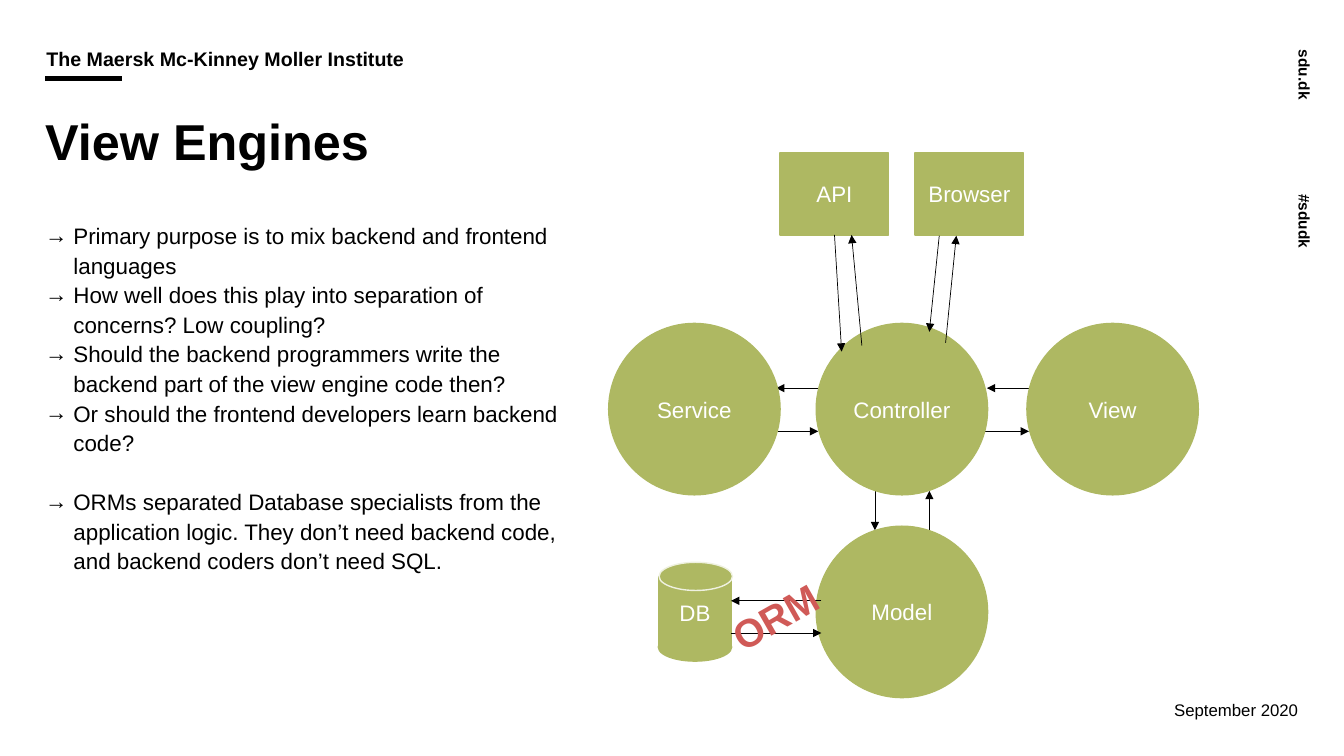
from lxml import etree
from pptx import Presentation
from pptx.dml.color import RGBColor
from pptx.enum import shapes, text
from pptx.oxml import ns
from pptx.util import Cm, Pt

BLACK = RGBColor(0x00, 0x00, 0x00)
WHITE = RGBColor(0xFF, 0xFF, 0xFF)
OLIVE = RGBColor(0xAE, 0xB8, 0x62)
PALE = RGBColor(0xEF, 0xF1, 0xE0)
RED = RGBColor(0xD0, 0x5A, 0x57)

QUESTIONS = [
    "Primary purpose is to mix backend and frontend languages",
    "How well does this play into separation of concerns? Low coupling?",
    "Should the backend programmers write the backend part of the view engine code then?",
    "Or should the frontend developers learn backend code?",
    "ORMs separated Database specialists from the application logic. "
    "They don’t need backend code, and backend coders don’t need SQL.",
]


def write(para, words, size=16, color=BLACK, bold=False, align=text.PP_ALIGN.LEFT,
          spacing=1.0, before=0, bullet=None, indent=0.71):
    """Fill a paragraph with one formatted span."""
    if bullet:
        properties = para._p.get_or_add_pPr()
        properties.set("marL", str(Cm(indent)))
        properties.set("indent", str(-Cm(indent)))
        etree.SubElement(properties, ns.qn("a:buChar"), char=bullet)
    para.alignment = align
    para.line_spacing = spacing
    para.space_before = Pt(before)
    span = para.add_run()
    span.text = words
    span.font.name = "Arial"
    span.font.size = Pt(size)
    span.font.bold = bold
    span.font.color.rgb = color


def set_frame(box, anchor=text.MSO_ANCHOR.TOP, insets=(0, 0, 0, 0)):
    """Set wrapping, anchor and insets of a box and return its text frame."""
    frame = box.text_frame
    frame.word_wrap = True
    frame.auto_size = text.MSO_AUTO_SIZE.NONE
    frame.vertical_anchor = anchor
    frame.margin_left, frame.margin_top, frame.margin_right, frame.margin_bottom = map(Cm, insets)
    return frame


def add_label(page, left, top, width, height, words, rotation=0,
              anchor=text.MSO_ANCHOR.TOP, insets=(0, 0, 0, 0), **style):
    """Add a text box holding one paragraph."""
    box = page.shapes.add_textbox(Cm(left), Cm(top), Cm(width), Cm(height))
    box.rotation = rotation
    write(set_frame(box, anchor, insets).paragraphs[0], words, **style)


def add_node(parent, kind, left, top, width, height, words=None, outline=OLIVE):
    """Add a filled shape with an optional centred caption."""
    node = parent.shapes.add_shape(kind, Cm(left), Cm(top), Cm(width), Cm(height))
    node.shadow.inherit = False
    node.fill.solid()
    node.fill.fore_color.rgb = OLIVE
    node.line.color.rgb = outline
    node.line.width = Pt(1)
    if words:
        frame = set_frame(node, text.MSO_ANCHOR.MIDDLE, (0.2, 0.2, 0.2, 0.2))
        write(frame.paragraphs[0], words, color=WHITE, align=text.PP_ALIGN.CENTER)
    return node


def add_line(page, start, end, width=0.5, arrow=True):
    """Add a black straight line, by default with an arrowhead at its end."""
    line = page.shapes.add_connector(shapes.MSO_CONNECTOR.STRAIGHT, *map(Cm, start + end))
    line.line.color.rgb = BLACK
    line.line.width = Pt(width)
    properties = line.element.spPr
    if arrow:
        etree.SubElement(properties.find(ns.qn("a:ln")), ns.qn("a:tailEnd"), type="triangle")
    etree.SubElement(properties, ns.qn("a:effectLst"))
    return line


def add_margin(page, left, top):
    """Place the upright labels of the right margin."""
    for row, words in enumerate(("sdu.dk", "#sdudk")):
        add_label(page, left, top + row * 3.63, 2.54, 1.04, words, rotation=90,
                  anchor=text.MSO_ANCHOR.BOTTOM, size=11, bold=True)


def add_header(page, left, top):
    """Place the institute name and the rule below it."""
    add_line(page, (left, top + 0.74), (left + 1.93, top + 0.74), width=3, arrow=False)
    add_label(page, left, top, 15.8, 0.79, "The Maersk Mc-Kinney Moller Institute",
              anchor=text.MSO_ANCHOR.BOTTOM, insets=(0.03, 0, 0, 0.25),
              size=14, bold=True, spacing=0.9)


def place(holder, left, top, width, height):
    """Move a placeholder and return its text frame."""
    holder.left, holder.top, holder.width, holder.height = map(Cm, (left, top, width, height))
    return set_frame(holder)


def fill_content(page, left, top):
    """Fill the title and the list of questions."""
    title = place(page.shapes.title, left, top, 30.43, 1.96)
    write(title.paragraphs[0], "View Engines", size=36, bold=True)
    body = place(page.placeholders[1], left, top + 2.77, 13.16, 11.56)
    for number, words in enumerate(QUESTIONS):
        para = body.add_paragraph() if number else body.paragraphs[0]
        write(para, words, spacing=1.1, bullet="→",
              before=21 if number == len(QUESTIONS) - 1 else 0)


def add_database(page, left, top):
    """Draw the database cylinder as a group."""
    group = page.shapes.add_group_shape()
    width, lid = 1.85, 0.71
    add_node(group, shapes.MSO_SHAPE.RECTANGLE, left, top + lid / 2, width, 1.8, "DB")
    add_node(group, shapes.MSO_SHAPE.OVAL, left + 0.02, top, width, lid, outline=PALE)
    add_node(group, shapes.MSO_SHAPE.OVAL, left, top + 1.78, width, lid)


def add_diagram(page, left, top):
    """Draw the components and the calls between them."""
    def arrow(start_x, start_y, end_x, end_y):
        return add_line(page, (left + start_x, top + start_y), (left + end_x, top + end_y))

    for shift in (0, 5.31):
        arrow(3 + shift, 7.01, 5.28 + shift, 7.01)
        arrow(6.48 + shift, 5.92, 4.22 + shift, 5.92)
    arrow(6.71, 7.44, 6.71, 9.5)
    arrow(8.08, 10.57, 8.08, 8.51)

    for words, across, down in (("Service", 0, 4.29), ("Model", 5.23, 9.4),
                                ("View", 10.54, 4.29), ("Controller", 5.23, 4.29)):
        add_node(page, shapes.MSO_SHAPE.OVAL, left + across, top + down, 4.32, 4.32, words)
    api, browser = [
        add_node(page, shapes.MSO_SHAPE.RECTANGLE, left + across, top, 2.74, 2.06, words)
        for words, across in (("API", 4.32), ("Browser", 7.72))]

    arrow(5.69, 2.06, 5.87, 5).begin_connect(api, 2)
    arrow(6.38, 4.85, 6.12, 2.06)
    arrow(8.33, 2.08, 8.08, 4.5)
    arrow(8.49, 4.78, 8.76, 2.08)

    add_database(page, left + 1.25, top + 10.31)
    arrow(3.08, 12.09, 5.36, 12.09)
    arrow(5.36, 11.28, 3.08, 11.28)
    add_label(page, left + 2.47, top + 11.08, 3.43, 1.19, "ORM", rotation=330.4,
              size=28, color=RED, bold=True, align=text.PP_ALIGN.CENTER)


def main():
    """Build and save the deck."""
    deck = Presentation()
    deck.slide_width, deck.slide_height = Cm(33.87), Cm(19.05)
    page = deck.slides.add_slide(deck.slide_layouts[1])
    add_margin(page, 31.9, 2.01)
    add_header(page, 1.14, 1.24)
    add_label(page, 25.43, 17.63, 7.29, 0.51, "September 2020", size=12,
              align=text.PP_ALIGN.RIGHT)
    fill_content(page, 1.14, 2.77)
    add_diagram(page, 15.34, 3.86)
    deck.save("out.pptx")


if __name__ == "__main__":
    main()
